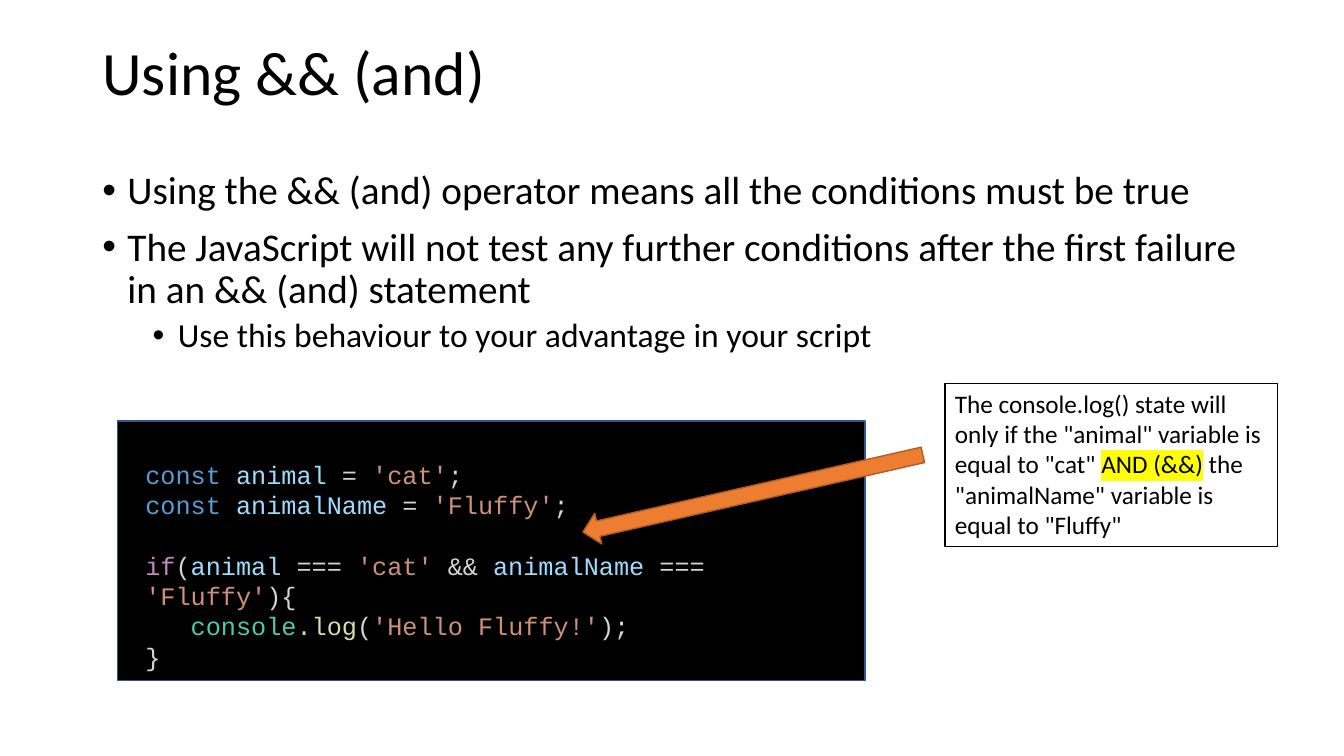
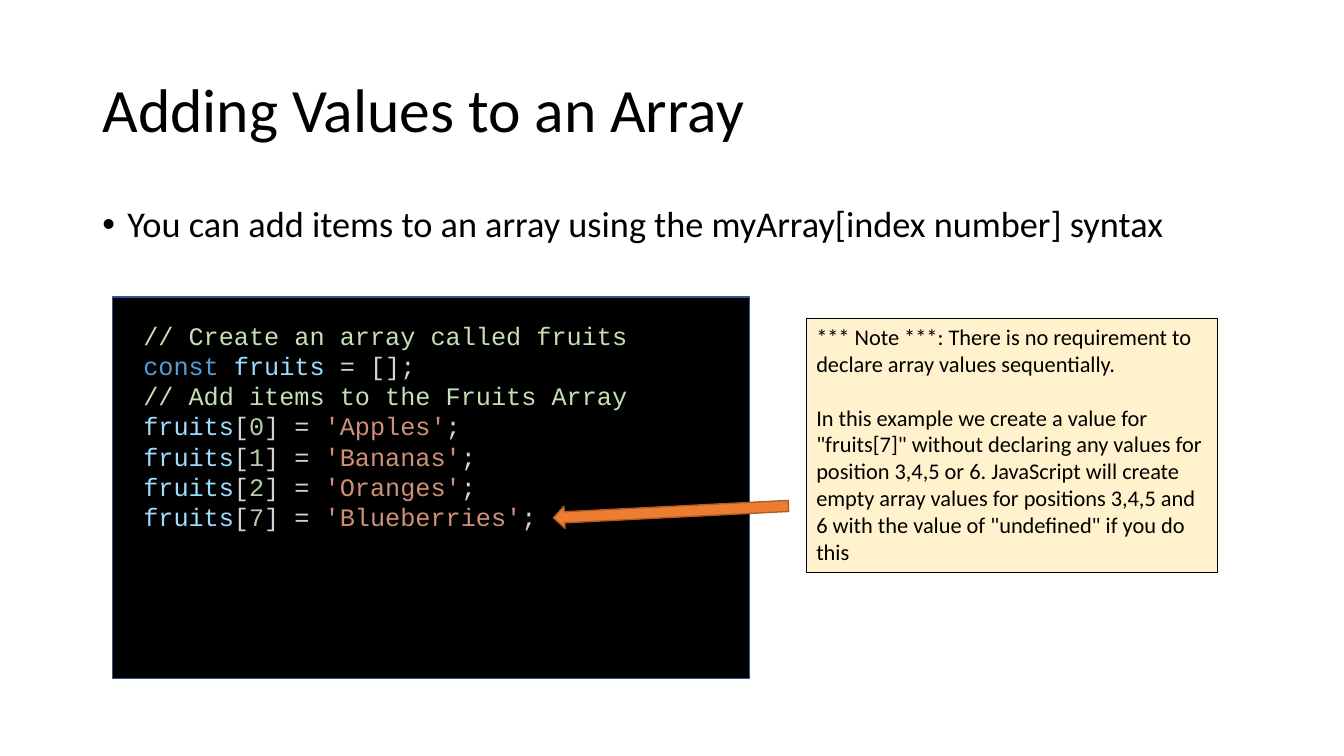
import pptx
import pptx.dml.color
import pptx.enum.shapes
import pptx.enum.text
import pptx.oxml
import pptx.oxml.ns
import pptx.util

COLORS = {
    "ink": "000000", "panel": "000000", "panel_line": "325491",
    "arrow": "ED7D31", "arrow_line": "AF5C24", "note": "FFF2CC", "highlight": "FFFF00",
    "keyword": "569CD6", "variable": "9CDCFE", "plain": "D4D4D4", "string": "CE9178",
    "control": "C586C0", "object": "4EC9B0", "function": "DCDCAA",
    "comment": "C5E0B4", "number": "B5CEA8",
}


def color(name):
    return pptx.dml.color.RGBColor.from_string(COLORS[name])


class Deck:
    """Holds the shared style, the presentation and the slide being built."""

    scale = 9525
    body_font = "Calibri"
    code_font = "Courier New"
    code_pitch = pptx.util.Pt(21.6)

    def __init__(self):
        self.presentation = pptx.Presentation()
        self.presentation.slide_width = self.px(1280)
        self.presentation.slide_height = self.px(720)
        self.slide = None

    def px(self, length):
        return pptx.util.Emu(length * self.scale)

    def place(self, shape, box):
        shape.left, shape.top, shape.width, shape.height = map(self.px, box)

    def style(self, font, size, name=body_font, tint="ink"):
        font.size = pptx.util.Pt(size)
        font.name = name
        font.color.rgb = color(tint)

    def highlight(self, run):
        mark = pptx.oxml.parse_xml(
            f'<a:highlight {pptx.oxml.ns.nsdecls("a")}>'
            f'<a:srgbClr val="{COLORS["highlight"]}"/></a:highlight>')
        run.font.fill._xPr.find(pptx.oxml.ns.qn("a:latin")).addprevious(mark)

    def paragraphs(self, frame, count):
        return [frame.paragraphs[0]] + [frame.add_paragraph() for _ in range(count - 1)]

    def text_frame(self, box):
        frame = self.slide.shapes.add_textbox(*map(self.px, box)).text_frame
        frame.word_wrap = True
        return frame

    def add_slide(self, title, top):
        self.slide = self.presentation.slides.add_slide(self.presentation.slide_layouts[5])
        shape = self.slide.shapes.title
        self.place(shape, (88, top, 1104, 139))
        frame = shape.text_frame
        frame.text = title
        frame.word_wrap = True
        frame.auto_size = pptx.enum.text.MSO_AUTO_SIZE.NONE
        frame.vertical_anchor = pptx.enum.text.MSO_ANCHOR.MIDDLE
        paragraph = frame.paragraphs[0]
        paragraph.alignment = pptx.enum.text.PP_ALIGN.LEFT
        paragraph.line_spacing = 0.9
        self.style(paragraph.runs[0].font, 44)

    def bullets(self, box, items):
        frame = self.text_frame(box)
        for index, (paragraph, (text, level, size)) in enumerate(
                zip(self.paragraphs(frame, len(items)), items)):
            paragraph.text = text
            paragraph.level = level
            paragraph.line_spacing = 0.9
            if index:
                paragraph.space_before = pptx.util.Pt(5 if level else 10)
            properties = paragraph._p.get_or_add_pPr()
            properties.set("marL", str(self.px(24 + 48 * level)))
            properties.set("indent", str(self.px(-24)))
            namespace = pptx.oxml.ns.nsdecls("a")
            properties.append(pptx.oxml.parse_xml(f'<a:buFont {namespace} typeface="Arial"/>'))
            properties.append(pptx.oxml.parse_xml(f'<a:buChar {namespace} char="•"/>'))
            self.style(paragraph.runs[0].font, size)

    def shape(self, kind, box, fill, line, width):
        shape = self.slide.shapes.add_shape(kind, *map(self.px, box))
        shape.shadow.inherit = False
        if fill:
            shape.fill.solid()
            shape.fill.fore_color.rgb = color(fill)
        else:
            shape.fill.background()
        shape.line.color.rgb = color(line)
        shape.line.width = pptx.util.Pt(width)
        return shape

    def panel(self, box):
        self.shape(pptx.enum.shapes.MSO_SHAPE.RECTANGLE, box, "panel", "panel_line", 1)

    def arrow(self, box, rotation):
        shape = self.shape(pptx.enum.shapes.MSO_SHAPE.RIGHT_ARROW, box, "arrow", "arrow_line", 1)
        shape.rotation = rotation

    def note(self, box, size, paragraphs, fill=None):
        shape = self.shape(pptx.enum.shapes.MSO_SHAPE.RECTANGLE, box, fill, "ink", 0.75)
        frame = shape.text_frame
        frame.word_wrap = True
        frame.vertical_anchor = pptx.enum.text.MSO_ANCHOR.TOP
        for index, (paragraph, parts) in enumerate(
                zip(self.paragraphs(frame, len(paragraphs)), paragraphs)):
            paragraph.alignment = pptx.enum.text.PP_ALIGN.LEFT
            if index:
                paragraph.space_before = pptx.util.Pt(size * 1.2)
            for text, marked in parts:
                run = paragraph.add_run()
                run.text = text
                self.style(run.font, size)
                if marked:
                    self.highlight(run)

    def code(self, box, lines, gap_before=None):
        frame = self.text_frame(box)
        for index, (paragraph, tokens) in enumerate(
                zip(self.paragraphs(frame, len(lines)), lines)):
            paragraph.line_spacing = self.code_pitch
            if index == gap_before:
                paragraph.space_before = self.code_pitch
            for text, token in tokens:
                run = paragraph.add_run()
                run.text = text
                self.style(run.font, 18, self.code_font, token)


def declaration(name, value):
    return [("const ", "keyword"), (name, "variable"), (" = ", "plain"),
            (value, "string"), (";", "plain")]


def assignment(index, value):
    return [("fruits", "variable"), ("[", "plain"), (str(index), "number"),
            ("] = ", "plain"), (f"'{value}'", "string"), (";", "plain")]


def and_slide(deck):
    deck.add_slide("Using && (and)", 2)
    deck.bullets((88, 158, 1104, 457), [
        ("Using the && (and) operator means all the conditions must be true", 0, 28),
        ("The JavaScript will not test any further conditions after the first failure "
         "in an && (and) statement", 0, 28),
        ("Use this behaviour to your advantage in your script", 1, 24),
    ])
    deck.panel((112, 401, 712, 247))
    deck.note((900, 365, 317, 156), 18, [[
        ('The console.log() state will only if the "animal" variable is equal to "cat" ', False),
        ("AND (&&)", True),
        (' the "animalName" variable is equal to "Fluffy"', False),
    ]])
    deck.arrow((551, 455, 332, 30), 167.2)
    deck.code((129, 433, 679, 184), [
        declaration("animal", "'cat'"),
        declaration("animalName", "'Fluffy'"),
        [("if", "control"), ("(", "plain"), ("animal", "variable"), (" === ", "plain"),
         ("'cat'", "string"), (" && ", "plain"), ("animalName", "variable"),
         (" === ", "plain"), ("'Fluffy'", "string"), ("){", "plain")],
        [("   console", "object"), (".", "plain"), ("log", "function"), ("(", "plain"),
         ("'Hello Fluffy!'", "string"), (");", "plain")],
        [("}", "plain")],
    ], gap_before=2)


def array_slide(deck):
    deck.add_slide("Adding Values to an Array", 38)
    deck.bullets((88, 192, 1104, 51), [
        ("You can add items to an array using the myArray[index number] syntax", 0, 25.9),
    ])
    deck.panel((107, 283, 607, 363))
    deck.arrow((527, 477, 224, 21), 177.1)
    deck.note((768, 303, 392, 242), 16, [
        [("*** Note ***: There is no requirement to declare array values sequentially.", False)],
        [('In this example we create a value for "fruits[7]" without declaring any values for '
          "position 3,4,5 or 6. JavaScript will create empty array values for positions "
          '3,4,5 and 6 with the value of "undefined" if you do this', False)],
    ], fill="note")
    fruits = {0: "Apples", 1: "Bananas", 2: "Oranges", 7: "Blueberries"}
    deck.code((127, 300, 522, 213), [
        [("// Create an array called fruits", "comment")],
        [("const ", "keyword"), ("fruits", "variable"), (" = [];", "plain")],
        [("// Add items to the Fruits Array", "comment")],
        *[assignment(index, value) for index, value in fruits.items()],
    ])


def main():
    deck = Deck()
    and_slide(deck)
    array_slide(deck)
    deck.presentation.save("out.pptx")


if __name__ == "__main__":
    main()
